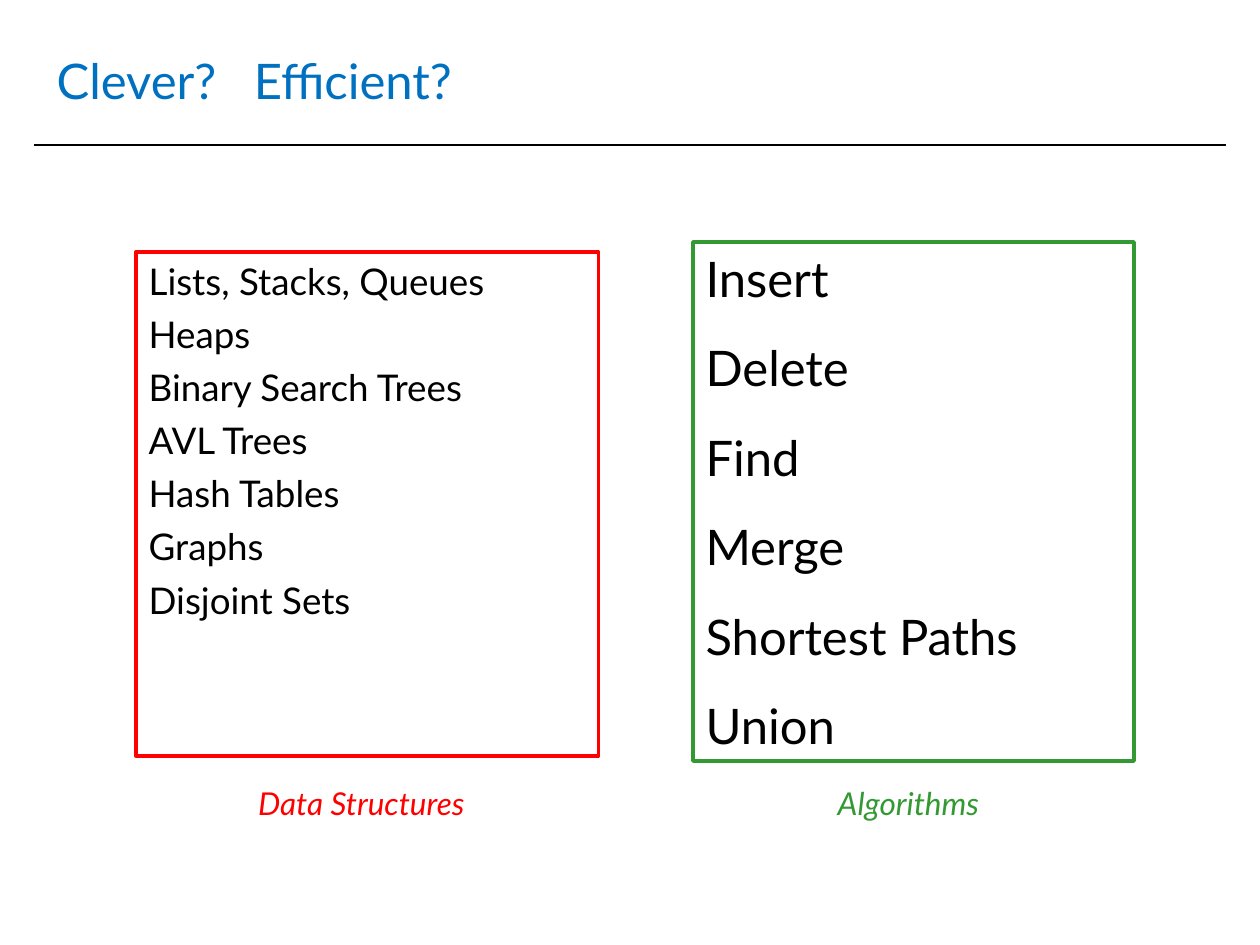
import pptx
import pptx.dml.color
import pptx.enum.shapes
import pptx.enum.text
import pptx.oxml.ns
import pptx.util
from lxml import etree

Inches = pptx.util.Inches
Pt = pptx.util.Pt
Anchor = pptx.enum.text.MSO_ANCHOR
AutoSize = pptx.enum.text.MSO_AUTO_SIZE

FONT = "Lato"
COLORS = {
    "title": "0070C0",
    "text": "000000",
    "structures": "FF0000",
    "algorithms": "339933",
}
STRUCTURES = ["Lists, Stacks, Queues", "Heaps", "Binary Search Trees",
              "AVL Trees", "Hash Tables", "Graphs", "Disjoint Sets"]
ALGORITHMS = ["Insert", "Delete", "Find", "Merge", "Shortest Paths", "Union"]


def rgb(role):
    return pptx.dml.color.RGBColor.from_string(COLORS[role])


def place(shape, left, top, width, height):
    shape.left, shape.top = Inches(left), Inches(top)
    shape.width, shape.height = Inches(width), Inches(height)


def add_run(paragraph, text, size, role, italic=False):
    paragraph.alignment = pptx.enum.text.PP_ALIGN.LEFT
    run = paragraph.add_run()
    run.text = text
    run.font.name = FONT
    run.font.size = Pt(size)
    run.font.italic = italic
    run.font.color.rgb = rgb(role)


def fill_title(title, text):
    place(title, 0.35, 0.21, 9.29, 0.85)
    title.text_frame.vertical_anchor = Anchor.MIDDLE
    title.text_frame.auto_size = AutoSize.NONE
    add_run(title.text_frame.paragraphs[0], text, 28, "title")


def add_rule(slide):
    rule = slide.shapes.add_connector(
        pptx.enum.shapes.MSO_CONNECTOR.STRAIGHT,
        Inches(0.27), Inches(1.15), Inches(9.73), Inches(1.15))
    rule.line.color.rgb = rgb("text")
    rule.line.width = Pt(1)
    etree.SubElement(rule._element.spPr, pptx.oxml.ns.qn("a:effectLst"))


def fill_list(body, items, box, role, size, gap):
    """Framed list without bullets, gap points between its items."""
    place(body, *box)
    body.line.color.rgb = rgb(role)
    body.line.width = Pt(2)
    frame = body.text_frame
    frame.vertical_anchor = Anchor.TOP
    frame.auto_size = AutoSize.NONE
    for index, item in enumerate(items):
        paragraph = frame.add_paragraph() if index else frame.paragraphs[0]
        add_run(paragraph, item, size, "text")
        paragraph.space_before = Pt(gap)
        properties = paragraph._p.get_or_add_pPr()
        properties.set("marL", "0")
        properties.set("indent", "0")
        etree.SubElement(properties, pptx.oxml.ns.qn("a:buNone"))


def add_caption(slide, text, left, width, role):
    caption = slide.shapes.add_textbox(
        Inches(left), Inches(6.17), Inches(width), Inches(0.4))
    caption.text_frame.word_wrap = False
    add_run(caption.text_frame.paragraphs[0], text, 18, role, italic=True)


def main():
    deck = pptx.Presentation()
    deck.slide_width, deck.slide_height = Inches(10), Inches(7.5)
    slide = deck.slides.add_slide(deck.slide_layouts.get_by_name("Two Content"))
    title, structures, algorithms = slide.placeholders

    # Heading
    add_rule(slide)
    fill_title(title, "Clever?   Efficient?")

    # Framed lists
    fill_list(structures, STRUCTURES, (1.08, 2, 3.67, 4), "structures", 21, 5.2)
    fill_list(algorithms, ALGORITHMS, (5.5, 1.92, 3.5, 4.12), "algorithms", 28, 17.5)

    # Captions under the lists
    add_caption(slide, "Data Structures", 1.95, 1.92, "structures")
    add_caption(slide, "Algorithms", 6.55, 1.41, "algorithms")

    deck.save("out.pptx")


if __name__ == "__main__":
    main()
